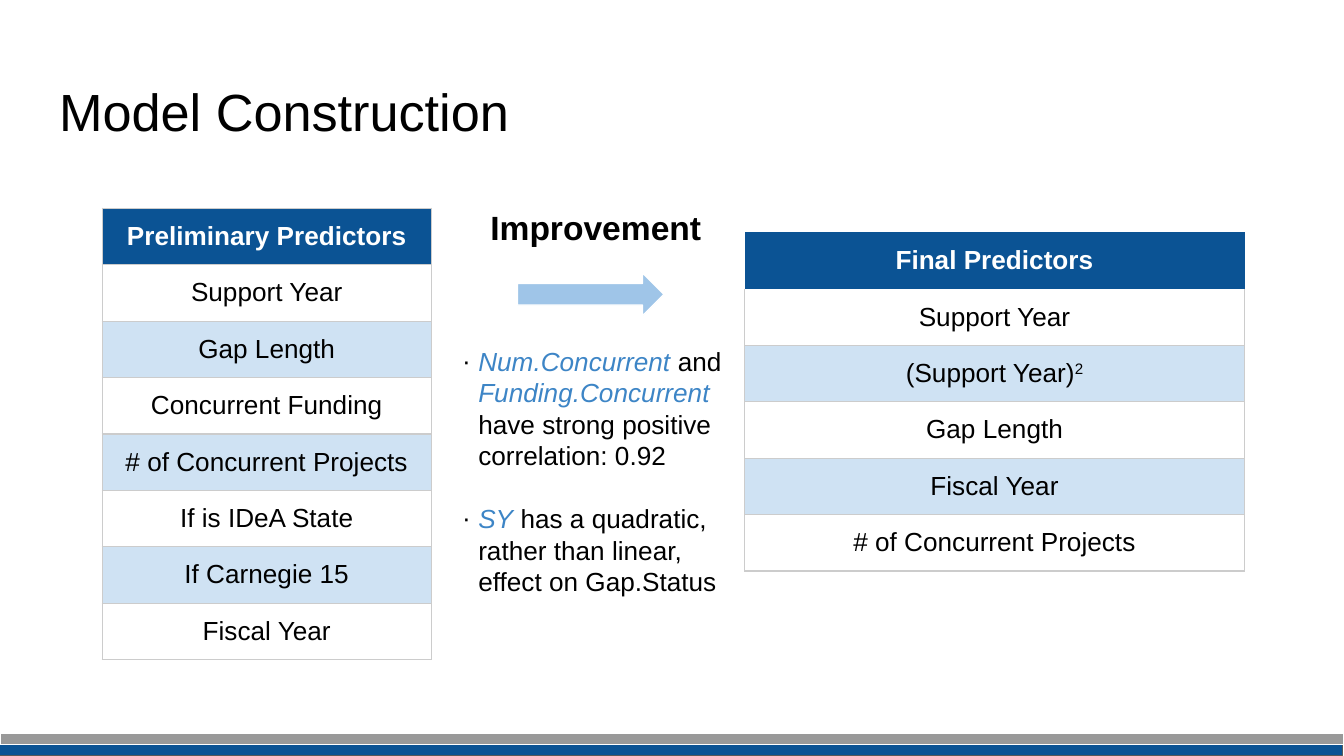
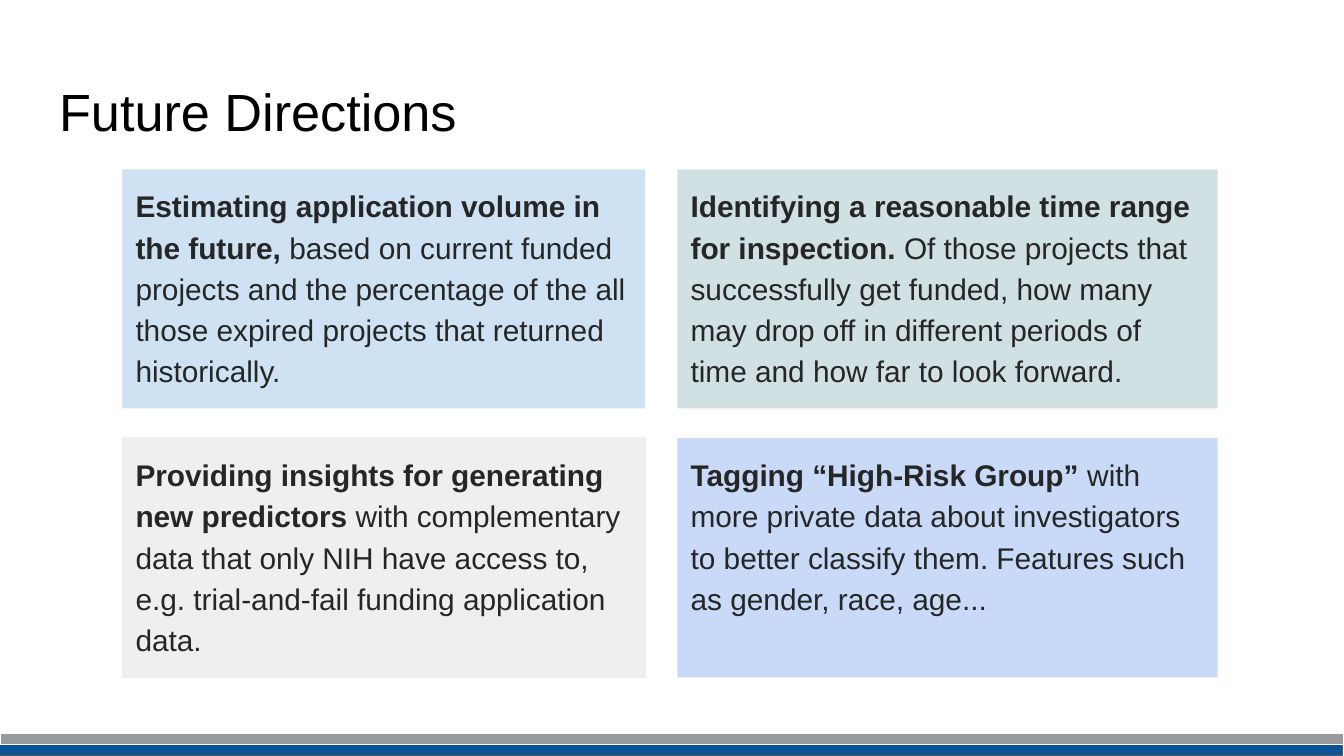
from pptx import Presentation
from pptx.dml.color import RGBColor
from pptx.enum.shapes import MSO_SHAPE
from pptx.enum.text import MSO_ANCHOR, MSO_AUTO_SIZE, PP_ALIGN
from pptx.oxml.ns import qn
from pptx.util import Inches, Pt
from lxml.etree import SubElement

FONT = "Arial"
COLORS = {
    "black": "000000",
    "white": "FFFFFF",
    "ink": "262626",
    "navy": "0B5394",
    "gray": "999999",
    "edge": "595959",
    "grid": "CCCCCC",
    "sky": "CFE2F3",
    "arrow": "9FC5E8",
    "term": "3D85C6",
    "teal": "D0E0E3",
    "mist": "EFEFEF",
    "periwinkle": "C9DAF8",
}
ROW_HEIGHT = 0.42
PRELIMINARY = [
    "Preliminary Predictors", "Support Year", "Gap Length", "Concurrent Funding",
    "# of Concurrent Projects", "If is IDeA State", "If Carnegie 15", "Fiscal Year",
]
FINAL = [
    "Final Predictors", "Support Year", ("(Support Year)", "2"), "Gap Length",
    "Fiscal Year", "# of Concurrent Projects",
]
FINDINGS = [
    [("Num.Concurrent", True), (" and ", False), ("Funding.Concurrent", True),
     (" have strong positive correlation: 0.92", False)],
    [("SY", True), (" has a quadratic, rather than linear, effect on Gap.Status", False)],
]
CARD_COLUMNS = [(0.91, 3.89), (5.04, 4.02)]
CARD_ROWS = [1.26, 3.26]
DIRECTIONS = [
    ("sky", "Estimating application volume in the future, ",
     "based on current funded projects and the percentage of the all those "
     "expired projects that returned historically."),
    ("teal", "Identifying a reasonable time range for inspection. ",
     "Of those projects that successfully get funded, how many may drop off in "
     "different periods of time and how far to look forward."),
    ("mist", "Providing insights for generating new predictors",
     " with complementary data that only NIH have access to, e.g. "
     "trial-and-fail funding application data."),
    ("periwinkle", "Tagging “High-Risk Group”",
     " with more private data about investigators to better classify them. "
     "Features such as gender, race, age..."),
]


def rgb(name):
    """Look up a palette colour."""
    return RGBColor.from_string(COLORS[name])


def style_font(font, size, color, bold=False):
    """Set the typeface, size, colour and weight of a font."""
    font.name = FONT
    font.size = Pt(size)
    font.color.rgb = rgb(color)
    font.bold = bold


def set_frame(frame, vertical_inset=0.1):
    """Give a text frame wrapping, top anchoring and insets."""
    frame.word_wrap = True
    frame.auto_size = MSO_AUTO_SIZE.NONE
    frame.vertical_anchor = MSO_ANCHOR.TOP
    frame.margin_left = frame.margin_right = Inches(0.1)
    frame.margin_top = frame.margin_bottom = Inches(vertical_inset)


def add_filled(slide, kind, box, fill, line=None):
    """Add a flat preset shape with an optional outline."""
    shape = slide.shapes.add_shape(kind, *map(Inches, box))
    shape.shadow.inherit = False
    shape.fill.solid()
    shape.fill.fore_color.rgb = rgb(fill)
    if line:
        shape.line.color.rgb = rgb(line)
        shape.line.width = Pt(0.75)
    else:
        shape.line.fill.background()
    return shape


def add_titled_slide(prs, heading):
    """Add a slide with the shared title style and footer bands."""
    slide = prs.slides.add_slide(prs.slide_layouts[5])
    title = slide.shapes.title
    title.left, title.top, title.width, title.height = map(Inches, (0.34, 0.49, 9.32, 0.63))
    set_frame(title.text_frame)
    title.text_frame.text = heading
    paragraph = title.text_frame.paragraphs[0]
    paragraph.alignment = PP_ALIGN.LEFT
    style_font(paragraph.font, 28, "black")
    add_filled(slide, MSO_SHAPE.RECTANGLE, (-0.01, 5.54, 10, 0.08), "navy", "edge")
    add_filled(slide, MSO_SHAPE.RECTANGLE, (0, 5.46, 10, 0.08), "gray", "white")
    return slide


def set_borders(cell, visible):
    """Draw the named sides of a cell and clear the others."""
    properties = cell._tc.get_or_add_tcPr()
    for side in "LRTB":
        line = SubElement(properties, qn(f"a:ln{side}"), w=str(Pt(0.75)))
        if side in visible:
            fill = SubElement(line, qn("a:solidFill"))
            SubElement(fill, qn("a:srgbClr"), val=COLORS["grid"])
        else:
            SubElement(line, qn("a:noFill"))


def add_predictors(slide, left, top, width, predictors, open_header=False):
    """Add a one-column table with a header and alternating rows."""
    table = slide.shapes.add_table(
        len(predictors), 1, Inches(left), Inches(top), Inches(width),
        Inches(ROW_HEIGHT * len(predictors))).table
    for index, predictor in enumerate(predictors):
        table.rows[index].height = Inches(ROW_HEIGHT)
        cell = table.cell(index, 0)
        cell.margin_left = cell.margin_right = Inches(0.1)
        cell.margin_top = cell.margin_bottom = Inches(0.1)
        sides = {0: "", 1: "LRB"}.get(index, "LRTB") if open_header else "LRTB"
        set_borders(cell, sides)
        header = index == 0
        cell.fill.solid()
        cell.fill.fore_color.rgb = rgb("navy" if header else "white" if index % 2 else "sky")
        base, exponent = (predictor, "") if isinstance(predictor, str) else predictor
        paragraph = cell.text_frame.paragraphs[0]
        paragraph.alignment = PP_ALIGN.CENTER
        style_font(paragraph.font, 14, "white" if header else "black", header)
        paragraph.add_run().text = base
        if exponent:
            run = paragraph.add_run()
            run.text = exponent
            run._r.get_or_add_rPr().set("baseline", "30000")


def add_text_area(slide, box, vertical_inset=0.1):
    """Add a wrapping text box and return its frame."""
    frame = slide.shapes.add_textbox(*map(Inches, box)).text_frame
    set_frame(frame, vertical_inset)
    return frame


def set_bullet(paragraph):
    """Give a paragraph a hanging black dot."""
    properties = paragraph._p.get_or_add_pPr()
    properties.set("marL", str(Inches(0.17)))
    properties.set("indent", str(-Inches(0.12)))
    color = properties.makeelement(qn("a:buClr"), {})
    SubElement(color, qn("a:srgbClr"), val=COLORS["black"])
    typeface = properties.makeelement(qn("a:buFont"), {"typeface": FONT})
    dot = properties.makeelement(qn("a:buChar"), {"char": "·"})
    for element in (color, typeface, dot):
        properties.append(element)


def add_findings(slide, box, findings):
    """List the findings with the variable names highlighted."""
    frame = add_text_area(slide, box, 0.05)
    for index, finding in enumerate(findings):
        paragraph = frame.add_paragraph() if index else frame.paragraphs[0]
        paragraph.space_before = Pt(17 if index else 0)
        set_bullet(paragraph)
        style_font(paragraph.font, 14, "black")
        for text, is_term in finding:
            run = paragraph.add_run()
            run.text = text
            if is_term:
                run.font.italic = True
                run.font.color.rgb = rgb("term")


def add_direction(slide, box, fill, lead, detail):
    """Add a coloured card with a bold lead and plain detail."""
    outline = fill if fill == "mist" else None
    card = add_filled(slide, MSO_SHAPE.RECTANGLE, box, fill, outline)
    set_frame(card.text_frame)
    paragraph = card.text_frame.paragraphs[0]
    paragraph.alignment = PP_ALIGN.LEFT
    paragraph.line_spacing = 1.15
    style_font(paragraph.font, 16, "ink")
    for text, bold in ((lead, True), (detail, False)):
        run = paragraph.add_run()
        run.text = text
        run.font.bold = bold


def build_model(prs):
    """Build the slide on how the predictors were refined."""
    slide = add_titled_slide(prs, "Model Construction")
    improvement = add_text_area(slide, (3.55, 1.44, 2.02, 0.54)).paragraphs[0]
    improvement.text = "Improvement"
    style_font(improvement.font, 18, "black", True)
    add_predictors(slide, 0.76, 1.55, 2.45, PRELIMINARY)
    add_predictors(slide, 5.54, 1.73, 3.72, FINAL, open_header=True)
    add_filled(slide, MSO_SHAPE.RIGHT_ARROW, (3.85, 2.03, 1.09, 0.32), "arrow", "white")
    add_findings(slide, (3.29, 2.52, 2.22, 2.22), FINDINGS)


def build_directions(prs):
    """Build the slide with the four future directions."""
    slide = add_titled_slide(prs, "Future Directions")
    for index, direction in enumerate(DIRECTIONS):
        row, column = divmod(index, 2)
        left, width = CARD_COLUMNS[column]
        add_direction(slide, (left, CARD_ROWS[row], width, 1.78), *direction)


def main():
    """Build and save the presentation."""
    prs = Presentation()
    prs.slide_width = Inches(10)
    prs.slide_height = prs.slide_width * 9 // 16
    build_model(prs)
    build_directions(prs)
    prs.save("out.pptx")


if __name__ == "__main__":
    main()
